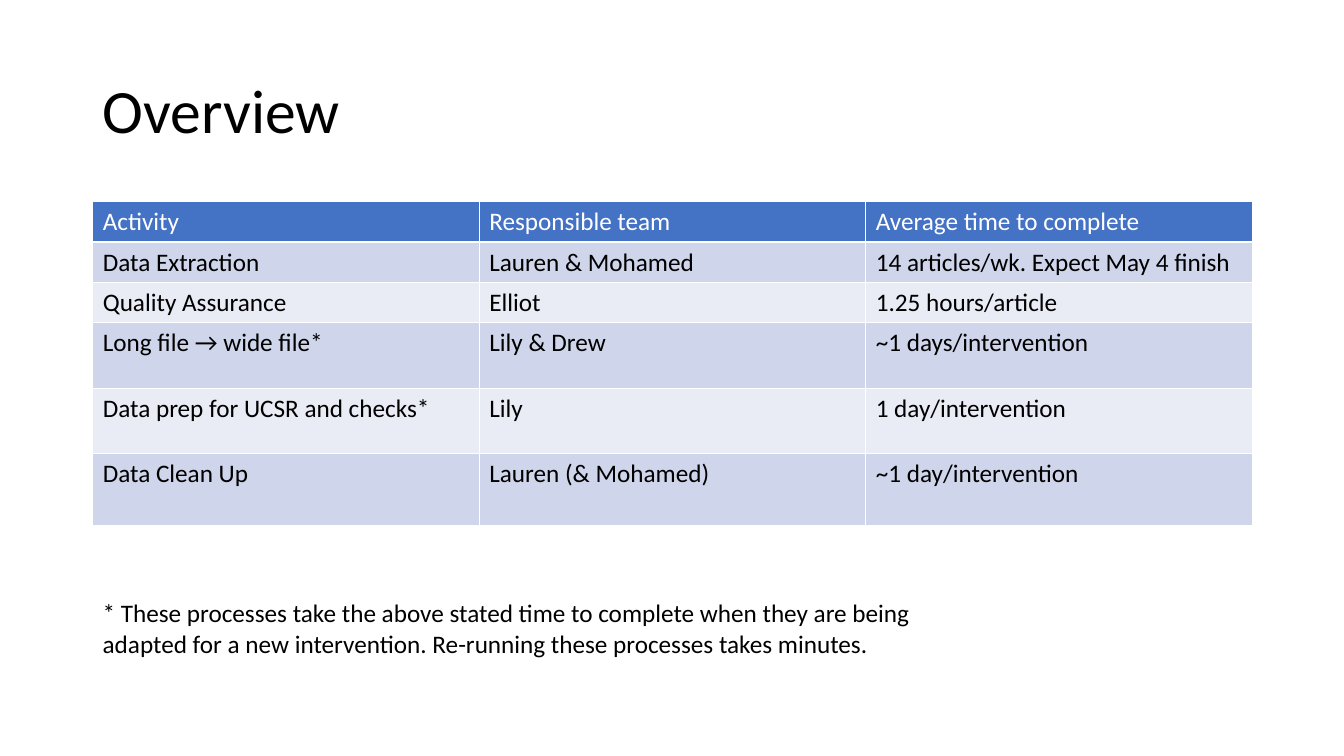
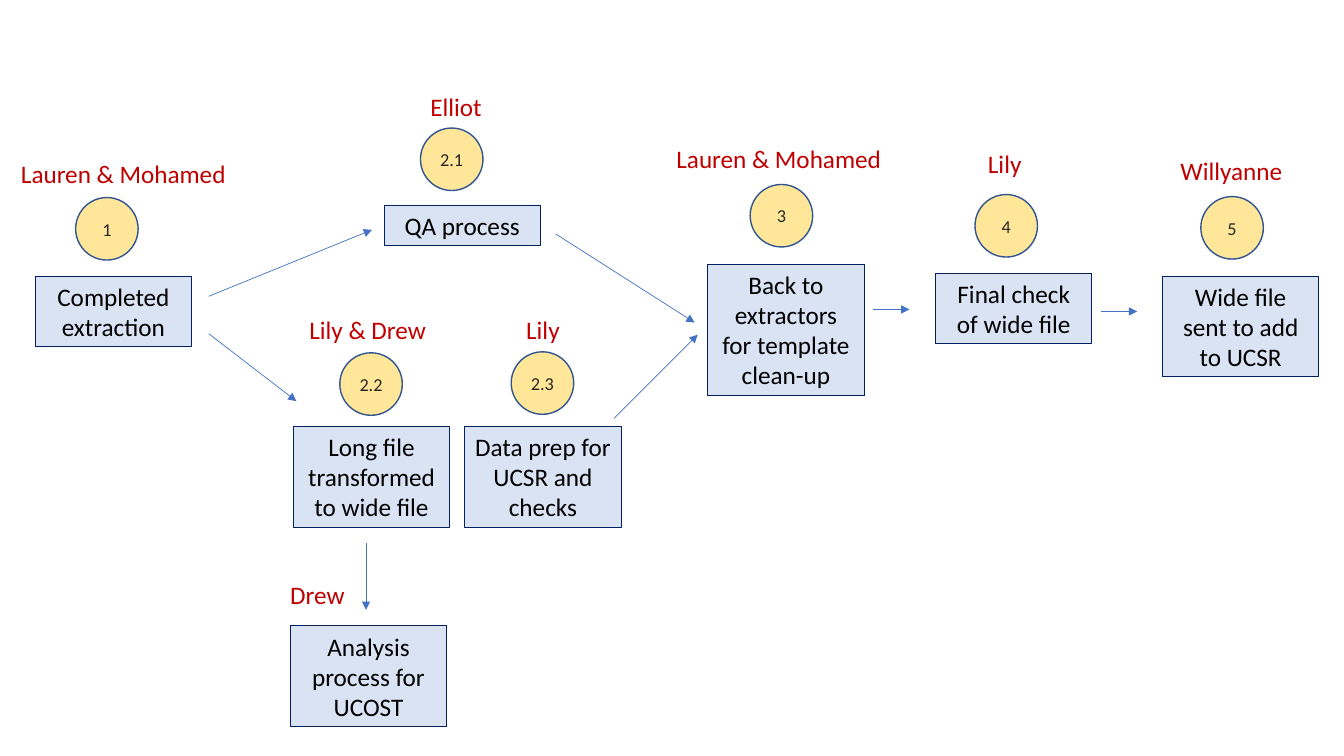
import pptx
import pptx.util
import pptx.dml.color
import pptx.enum.shapes
import pptx.enum.text
import pptx.oxml
import pptx.oxml.ns
from lxml import etree

Inches, Pt = pptx.util.Inches, pptx.util.Pt
SHAPE = pptx.enum.shapes.MSO_SHAPE
ALIGN = pptx.enum.text.PP_ALIGN
ANCHOR = pptx.enum.text.MSO_ANCHOR
FIT = pptx.enum.text.MSO_AUTO_SIZE.SHAPE_TO_FIT_TEXT


class Theme:
    font = "Calibri"
    title_size, body_size, badge_size = 44, 18, 13
    black, white, owner, badge_text = "000000", "FFFFFF", "C00000", "262626"
    accent, bands = "4472C4", ("CFD5EA", "E9EBF5")
    box_fill, box_line = "DAE3F3", "002060"
    badge_fill, badge_line = "FFE699", "325491"


# Content of the overview slide
TITLE = "Overview"
ROWS = [
    # row height, cells
    (0.4, ("Activity", "Responsible team", "Average time to complete")),
    (0.4, ("Data Extraction", "Lauren & Mohamed", "14 articles/wk. Expect May 4 finish")),
    (0.4, ("Quality Assurance", "Elliot", "1.25 hours/article")),
    (0.65, ("Long file → wide file*", "Lily & Drew", "~1 days/intervention")),
    (0.65, ("Data prep for UCSR and checks*", "Lily", "1 day/intervention")),
    (0.71, ("Data Clean Up", "Lauren (& Mohamed)", "~1 day/intervention")),
]
FOOTNOTE = ("* These processes take the above stated time to complete when they are being "
            "adapted for a new intervention. Re-running these processes takes minutes.")

# Content of the process slide
STEPS = [
    # text, line count, box position, number, badge position, owner, label position, label width
    ("Completed extraction", 2, (0.35, 2.74), "1", (0.75, 1.96),
     "Lauren & Mohamed", (0.11, 1.52), 2.46),
    ("QA process", 1, (3.81, 2.04), "2.1", (4.17, 1.27), "Elliot", (4.17, 0.86), 0.84),
    ("Long file transformed to wide file", 3, (2.91, 4.23), "2.2", (3.37, 3.5),
     "Lily & Drew", (2.97, 3.07), 1.68),
    ("Data prep for UCSR and checks", 3, (4.61, 4.23), "2.3", (5.07, 3.49),
     "Lily", (5.12, 3.07), 0.62),
    ("Back to extractors for template clean-up", 4, (7.02, 2.62), "3", (7.44, 1.83),
     "Lauren & Mohamed", (6.61, 1.37), 2.41),
    ("Final check of wide file", 2, (9.28, 2.71), "4", (9.67, 1.93), "Lily", (9.7, 1.42), 0.62),
    ("Wide file sent to add to UCSR", 3, (11.53, 2.74), "5", (11.91, 1.95),
     "Willyanne", (11.61, 1.49), 1.4),
    ("Analysis process for UCOST", 3, (2.88, 6.21), None, None, "Drew", (2.78, 5.7), 1.68),
]
ARROWS = [
    ((2.07, 2.94), (3.69, 2.28)),
    ((2.07, 3.31), (2.94, 3.98)),
    ((5.51, 2.32), (6.89, 3.2)),
    ((6.09, 4.15), (6.92, 3.32)),
    ((8.66, 3.07), (9.02, 3.07)),
    ((10.92, 3.09), (11.28, 3.09)),
    ((3.63, 5.39), (3.63, 6.05)),
]
BOX_WIDTH, BADGE_SIZE, LINE_HEIGHT, BOX_PADDING = 1.55, 0.62, 0.3, 0.1
LEFT, CONTENT_WIDTH = 0.92, 11.5


def rgb(value):
    return pptx.dml.color.RGBColor.from_string(value)


def write(tf, text, size=Theme.body_size, color=Theme.black, align=ALIGN.LEFT, spacing=None):
    p = tf.paragraphs[0]
    p.alignment = align
    if spacing:
        p.line_spacing = spacing
    r = p.add_run()
    r.text = text
    r.font.name, r.font.size, r.font.bold = Theme.font, Pt(size), False
    r.font.color.rgb = rgb(color)


def add_text(s, text, x, y, w, h, anchor=ANCHOR.TOP, fit=True, **style):
    tf = s.shapes.add_textbox(Inches(x), Inches(y), Inches(w), Inches(h)).text_frame
    tf.word_wrap = True
    tf.vertical_anchor = anchor
    if fit:
        tf.auto_size = FIT
    write(tf, text, **style)


def add_shape(s, kind, x, y, w, h, fill, line, weight):
    sp = s.shapes.add_shape(kind, Inches(x), Inches(y), Inches(w), Inches(h))
    sp.shadow.inherit = False
    sp.fill.solid()
    sp.fill.fore_color.rgb = rgb(fill)
    sp.line.color.rgb = rgb(line)
    sp.line.width = Pt(weight)
    return sp.text_frame


def add_box(s, text, lines, x, y):
    tf = add_shape(s, SHAPE.RECTANGLE, x, y, BOX_WIDTH, BOX_PADDING + lines * LINE_HEIGHT,
                   Theme.box_fill, Theme.box_line, 0.75)
    tf.word_wrap = True
    tf.vertical_anchor = ANCHOR.TOP
    tf.auto_size = FIT
    write(tf, text, align=ALIGN.CENTER)


def add_badge(s, number, x, y):
    tf = add_shape(s, SHAPE.OVAL, x, y, BADGE_SIZE, BADGE_SIZE,
                   Theme.badge_fill, Theme.badge_line, 1)
    tf.margin_left = tf.margin_right = tf.margin_top = tf.margin_bottom = 0
    tf.vertical_anchor = ANCHOR.MIDDLE
    write(tf, number, size=Theme.badge_size, color=Theme.badge_text, align=ALIGN.CENTER)


def add_arrow(s, start, end):
    line = s.shapes.add_connector(pptx.enum.shapes.MSO_CONNECTOR.STRAIGHT,
                                  *(Inches(v) for v in start + end))
    line.line.color.rgb = rgb(Theme.accent)
    line.line.width = Pt(0.5)
    qn = pptx.oxml.ns.qn
    etree.SubElement(line.line._get_or_add_ln(), qn("a:tailEnd"), type="triangle")
    etree.SubElement(line._element.spPr, qn("a:effectLst"))


def border_cell(cell):
    tc_pr = cell._tc.get_or_add_tcPr()
    for i, side in enumerate("LRTB"):
        tc_pr.insert(i, pptx.oxml.parse_xml(
            f'<a:ln{side} {pptx.oxml.ns.nsdecls("a")} w="{Pt(1)}"><a:solidFill>'
            f'<a:srgbClr val="{Theme.white}"/></a:solidFill></a:ln{side}>'))


def add_activity_table(s):
    columns = len(ROWS[0][1])
    height = sum(h for h, _ in ROWS)
    table = s.shapes.add_table(len(ROWS), columns, Inches(LEFT), Inches(2),
                               Inches(CONTENT_WIDTH), Inches(height)).table
    for i, (row_height, texts) in enumerate(ROWS):
        table.rows[i].height = Inches(row_height)
        for j, text in enumerate(texts):
            cell = table.cell(i, j)
            cell.fill.solid()
            cell.fill.fore_color.rgb = rgb(Theme.bands[(i - 1) % 2] if i else Theme.accent)
            border_cell(cell)
            write(cell.text_frame, text, color=Theme.black if i else Theme.white)


def build_overview(s):
    add_text(s, TITLE, LEFT, 0.4, CONTENT_WIDTH, 1.45, anchor=ANCHOR.MIDDLE, fit=False,
             size=Theme.title_size, spacing=0.9)
    add_activity_table(s)
    add_text(s, FOOTNOTE, LEFT, 5.88, 8.33, 0.71)


def build_process(s):
    for start, end in ARROWS:
        add_arrow(s, start, end)
    for text, lines, box_at, number, badge_at, owner, label_at, label_width in STEPS:
        add_box(s, text, lines, *box_at)
        if number:
            add_badge(s, number, *badge_at)
        add_text(s, owner, *label_at, label_width, 0.4, color=Theme.owner)


def main():
    prs = pptx.Presentation()
    prs.slide_width, prs.slide_height = Inches(13.33), Inches(7.5)
    for build in (build_overview, build_process):
        build(prs.slides.add_slide(prs.slide_layouts[6]))
    prs.save("out.pptx")


if __name__ == "__main__":
    main()
